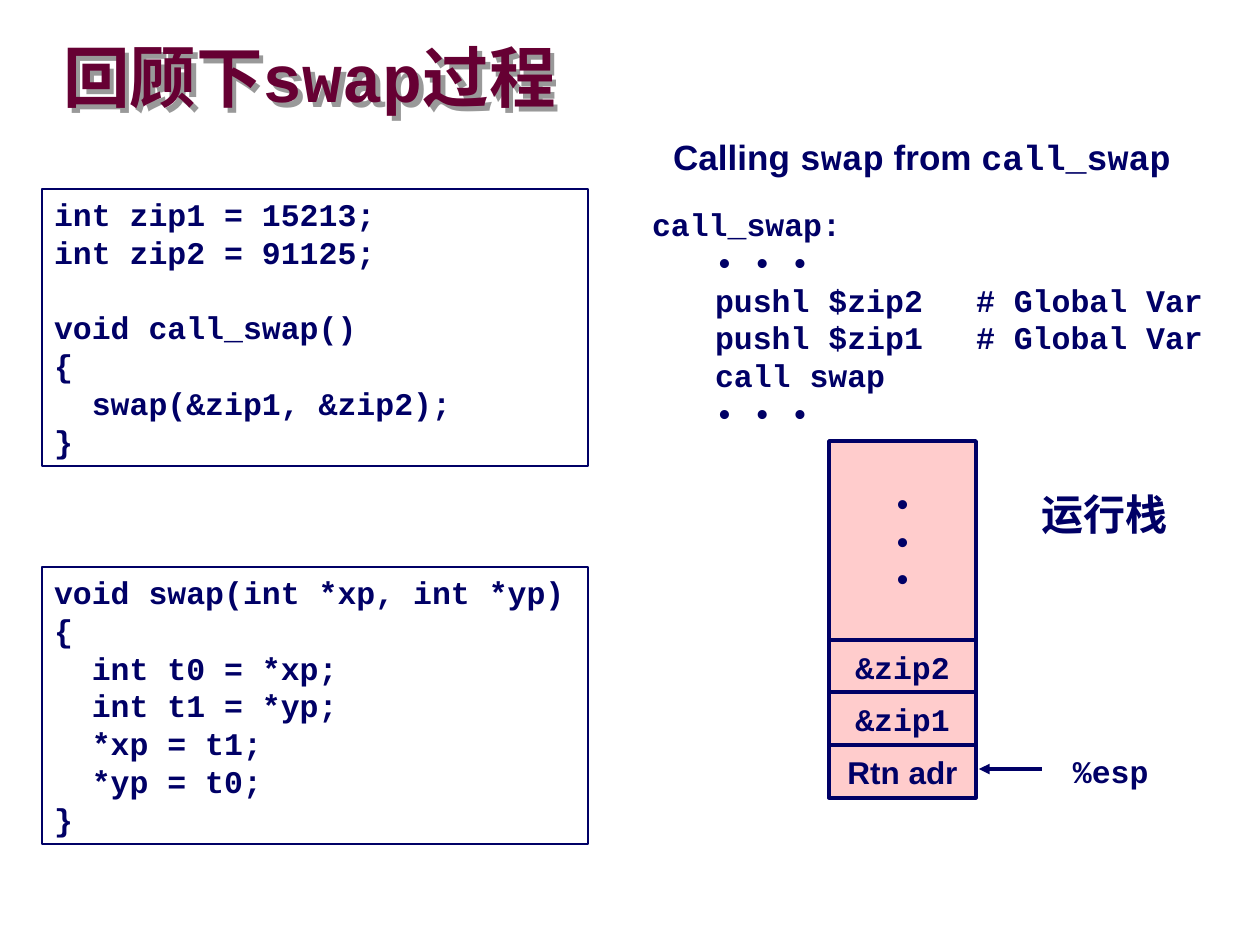
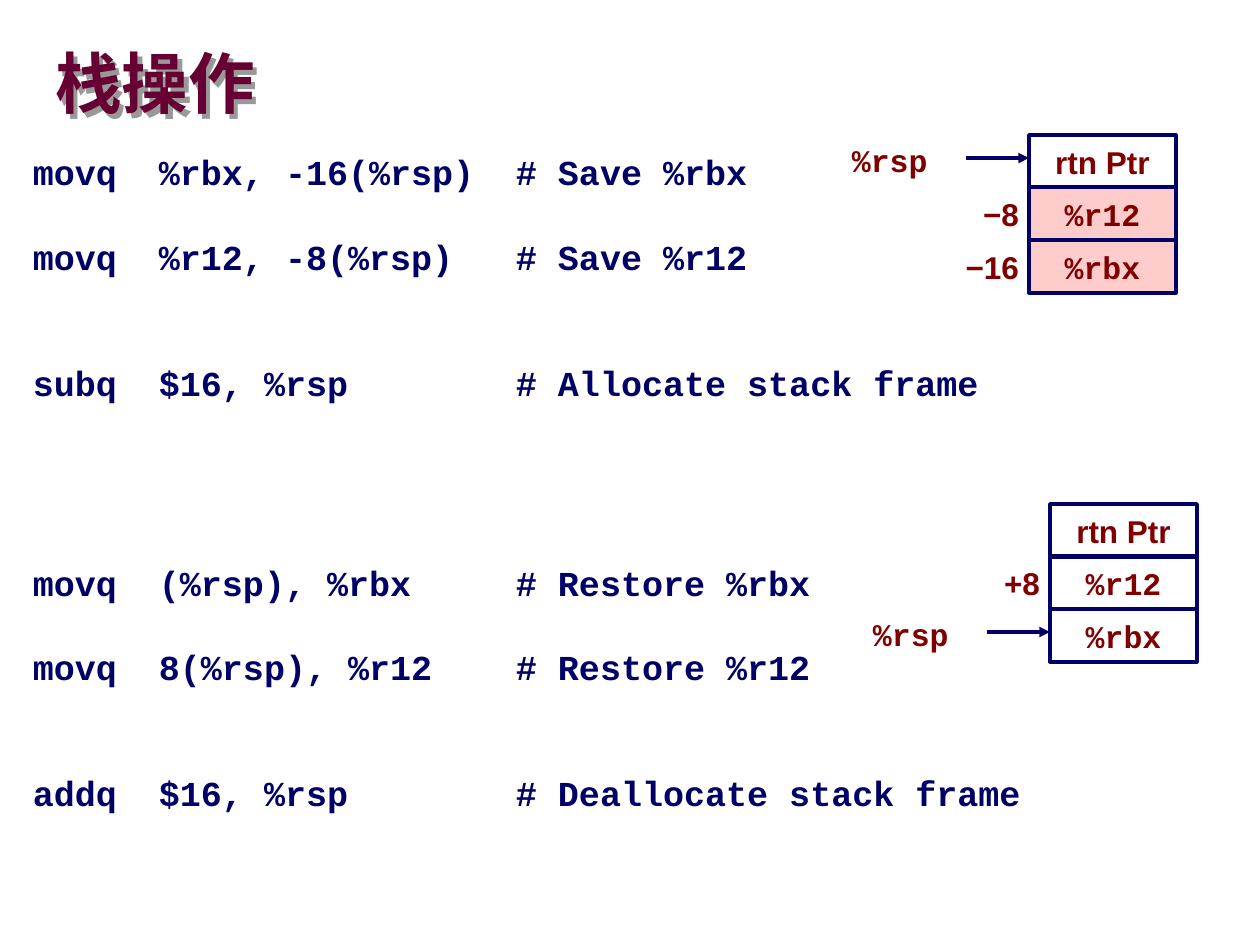
from dataclasses import dataclass

from lxml import etree
from pptx import Presentation
from pptx.dml.color import RGBColor
from pptx.enum.shapes import MSO_CONNECTOR, MSO_SHAPE
from pptx.enum.text import MSO_ANCHOR, PP_ALIGN
from pptx.oxml.ns import qn
from pptx.util import Pt

# Shared look
NAVY = RGBColor(0x00, 0x00, 0x66)
MAROON = RGBColor(0x80, 0x00, 0x00)
WINE = RGBColor(0x66, 0x00, 0x33)
PINK = RGBColor(0xFF, 0xCC, 0xCC)
WHITE = RGBColor(0xFF, 0xFF, 0xFF)
SANS, MONO = "Arial", "Courier New"
LEFT, MID, RIGHT = PP_ALIGN.LEFT, PP_ALIGN.CENTER, PP_ALIGN.RIGHT
TOP, CENTER = MSO_ANCHOR.TOP, MSO_ANCHOR.MIDDLE
RECT, STRAIGHT = MSO_SHAPE.RECTANGLE, MSO_CONNECTOR.STRAIGHT

SCALE = 914400 / 126
CELL_W, CELL_H = 147, 53
LEAD = 1.2


def px(n: int) -> int:
    return round(n * SCALE)


@dataclass
class Box:
    """Text in a frame; parts of a line between backticks are set in MONO."""
    x: int
    y: int
    w: int
    h: int
    lines: list[str]
    face: str = MONO
    size: int = 18
    ink: RGBColor = NAVY
    align: int = LEFT
    anchor: int = TOP
    fill: RGBColor | None = None
    edge: float = 0
    wrap: bool = True
    pad: int = 12
    lead: float = LEAD
    tabs: tuple[int, ...] = ()


@dataclass
class Row:
    text: str
    face: str = MONO
    fill: RGBColor | None = None
    note: str = ""


def apply(target, form: dict) -> None:
    for name, value in form.items():
        setattr(target, name, value)


def add_tabs(para, stops: tuple[int, ...]) -> None:
    if stops:
        tabs = etree.SubElement(para._p.get_or_add_pPr(), qn("a:tabLst"))
        for stop in stops:
            etree.SubElement(tabs, qn("a:tab"), pos=str(px(stop)), algn="l")


def write(frame, box: Box) -> None:
    # Left-aligned text may run to the right edge of its frame
    apply(frame, {
        "word_wrap": box.wrap, "vertical_anchor": box.anchor,
        "margin_left": px(box.pad),
        "margin_right": 0 if box.align == LEFT else px(box.pad),
        "margin_top": px(6), "margin_bottom": px(6),
    })
    step = box.size * box.lead
    para, gap = frame.paragraphs[0], 0
    for i, line in enumerate(box.lines):
        if not line:
            gap += 1
            continue
        if i:
            para = frame.add_paragraph()
        add_tabs(para, box.tabs)
        apply(para, {"alignment": box.align, "line_spacing": Pt(step)})
        if gap:
            para.space_before, gap = Pt(gap * step), 0
        for k, part in enumerate(line.split("`")):
            if part:
                run = para.add_run()
                run.text = part
                face = MONO if k % 2 else box.face
                apply(run.font, {"name": face, "size": Pt(box.size), "bold": True})
                run.font.color.rgb = box.ink


def draw(slide, box: Box) -> None:
    area = [px(n) for n in (box.x, box.y, box.w, box.h)]
    if box.edge:
        shape = slide.shapes.add_shape(RECT, *area)
        shape.shadow.inherit = False
        shape.line.color.rgb = NAVY
        shape.line.width = Pt(box.edge)
        if box.fill is None:
            shape.fill.background()
        else:
            shape.fill.solid()
            shape.fill.fore_color.rgb = box.fill
    else:
        shape = slide.shapes.add_textbox(*area)
    write(shape.text_frame, box)


def arrow(slide, x1: int, x2: int, y: int) -> None:
    line = slide.shapes.add_connector(STRAIGHT, px(x1), px(y), px(x2), px(y))
    line.line.color.rgb = NAVY
    line.line.width = Pt(2)
    etree.SubElement(line.line._get_or_add_ln(), qn("a:tailEnd"), type="triangle")
    etree.SubElement(line._element.spPr, qn("a:effectLst"))


def stack(slide, x: int, y: int, rows: list[Row], ink: RGBColor) -> None:
    for i, row in enumerate(rows):
        top = y + 105 * i // 2
        draw(slide, Box(x, top, CELL_W, CELL_H, [row.text], row.face, ink=ink,
                        align=MID, anchor=CENTER, fill=row.fill, edge=2, wrap=False))
        if row.note.startswith("%"):
            draw(slide, Box(x - 189, top, 101, 50, [row.note], ink=ink, wrap=False))
            arrow(slide, x - 63, x, top + 23)
        elif row.note:
            draw(slide, Box(x - 105, top + 6, 101, 47, [row.note], SANS, ink=ink,
                            align=RIGHT, pad=6, lead=LEAD * 0.9))


def add_slide(deck, text: str, face: str, area: tuple[int, ...]):
    slide = deck.slides.add_slide(deck.slide_layouts[5])
    title = slide.shapes.title
    apply(title, dict(zip(("left", "top", "width", "height"), map(px, area))))
    write(title.text_frame, Box(*area, [text], face, 38, WINE, anchor=CENTER,
                                pad=0, lead=LEAD * 0.87))
    # Grey drop shadow behind the letters
    title.fill.background()
    fx = etree.SubElement(title._element.spPr, qn("a:effectLst"))
    cast = etree.SubElement(fx, qn("a:outerShdw"), dist=str(px(7)), dir="2700000",
                            algn="ctr", rotWithShape="0")
    etree.SubElement(cast, qn("a:srgbClr"), val="999999")
    return slide


def swap_slide(deck) -> None:
    slide = add_slide(deck, "回顾下swap过程", MONO, (63, 42, 810, 79))

    # C code
    main = ["int zip1 = 15213;", "int zip2 = 91125;", "", "void call_swap()",
            "{", "  swap(&zip1, &zip2);", "}"]
    swap = ["void swap(int *xp, int *yp)", "{", "  int t0 = *xp;",
            "  int t1 = *yp;", "  *xp = t1;", "  *yp = t0;", "}"]
    for y, code in ((189, main), (567, swap)):
        draw(slide, Box(42, y, 546, 277, code, edge=1))

    # Assembly code
    draw(slide, Box(667, 134, 510, 50, ["Calling `swap` from `call_swap"], SANS, 20,
                    align=MID, wrap=False, pad=6, lead=LEAD * 0.9))
    calls = ["call_swap:", "\t• • •", "\tpushl $zip2\t# Global Var",
             "\tpushl $zip1\t# Global Var", "\tcall swap", "\t• • •"]
    draw(slide, Box(640, 199, 588, 239, calls, tabs=(63, 324)))

    # Run-time stack
    draw(slide, Box(829, 441, CELL_W, 199, ["•"] * 3, SANS, align=MID,
                    anchor=CENTER, fill=PINK, edge=2, wrap=False))
    stack(slide, 829, 640, [Row("&zip2", fill=PINK), Row("&zip1", fill=PINK),
                            Row("Rtn adr", SANS, PINK)], NAVY)
    arrow(slide, 1042, 979, 769)
    draw(slide, Box(1061, 746, 101, 50, ["%esp"], wrap=False))
    draw(slide, Box(1030, 483, 151, 63, ["运行栈"], SANS, 24, wrap=False))


def stack_slide(deck) -> None:
    slide = add_slide(deck, "栈操作", SANS, (55, 34, 1201, 107))

    # Save and restore code
    save = ["movq\t%rbx, -16(%rsp)\t# Save %rbx", "",
            "movq\t%r12, -8(%rsp)\t# Save %r12", "", "",
            "subq\t$16, %rsp\t# Allocate stack frame"]
    load = ["movq\t(%rsp), %rbx\t# Restore %rbx", "",
            "movq\t8(%rsp), %r12\t# Restore %r12", "", "",
            "addq\t$16, %rsp\t# Deallocate stack frame"]
    for y, code in ((145, save), (556, load)):
        draw(slide, Box(21, y, 1124, 265, code, size=20, tabs=(126, 483)))

    # Stack before and after
    stack(slide, 1029, 135, [Row("rtn Ptr", SANS, WHITE, "%rsp"),
                             Row("%r12", fill=PINK, note="−8"),
                             Row("%rbx", fill=PINK, note="−16")], MAROON)
    stack(slide, 1050, 504, [Row("rtn Ptr", SANS), Row("%r12", note="+8"),
                             Row("%rbx", note="%rsp")], MAROON)


def main() -> None:
    deck = Presentation()
    apply(deck, {"slide_width": px(1260), "slide_height": px(945)})
    swap_slide(deck)
    stack_slide(deck)
    deck.save("out.pptx")


if __name__ == "__main__":
    main()
